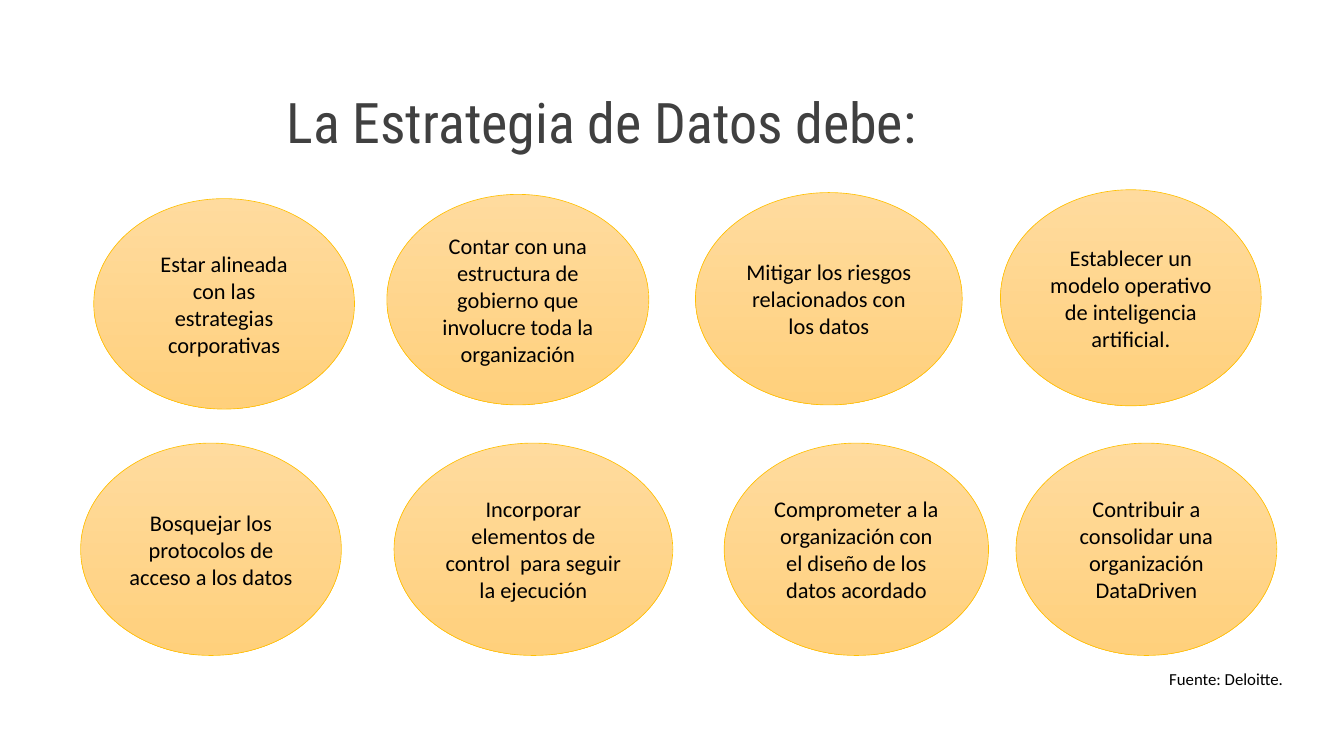
from pptx import Presentation
from pptx.dml.color import RGBColor
from pptx.enum.shapes import MSO_SHAPE
from pptx.enum.text import MSO_ANCHOR, PP_ALIGN
from pptx.util import Inches, Pt

TITLE_GREY = RGBColor(0x40, 0x40, 0x40)
BLACK = RGBColor(0, 0, 0)
AMBER = RGBColor(0xFF, 0xC0, 0x00)
PALE_ORANGE = RGBColor(0xFF, 0xDB, 0x9E)
DEEP_ORANGE = RGBColor(0xFF, 0xD0, 0x7C)

TITLE_FONT = {"name": "Roboto Condensed", "size": Pt(45.3), "bold": False}
DUTY_FONT = {"name": "Calibri", "size": Pt(18.1)}
SOURCE_FONT = {"name": "Calibri", "size": Pt(13.6)}
OVAL_FRAME = {
    "word_wrap": True, "vertical_anchor": MSO_ANCHOR.MIDDLE,
    "margin_left": Inches(0.11), "margin_right": Inches(0.11),
    "margin_top": Inches(0.06), "margin_bottom": Inches(0.06),
}

# Left, top, width and height in percent of the slide
TITLE_BOX = (9.4, 6.9, 70.7, 19.3)
DUTIES_BOX = (6, 25.1, 89, 61.6)
SOURCE_BOX = (44.7, 87.9, 51.4, 3.9)

# Left, top, width and height in percent of the duties box
DUTIES = [
    ((1.1, 1.9, 21.8, 45.2), "Estar alineada con las estrategias corporativas"),
    ((25.6, 1, 21.9, 45.2),
     "Contar con una estructura de gobierno que involucre toda la organización"),
    ((51.4, 0.6, 22.3, 45.6), "Mitigar los riesgos relacionados con los datos"),
    ((76.9, 0, 21.8, 46.4),
     "Establecer un modelo operativo de inteligencia artificial."),
    ((0, 54.4, 21.8, 45.6), "Bosquejar los protocolos de acceso a los datos"),
    ((26.2, 54.4, 23.3, 45.6),
     "Incorporar elementos de control  para seguir la ejecución"),
    ((53.8, 54.4, 22.1, 45.6),
     "Comprometer a la organización con el diseño de los datos acordado"),
    ((78.2, 54.4, 21.8, 45.6),
     "Contribuir a consolidar una organización DataDriven"),
]


def set_all(target, values):
    for name, value in values.items():
        setattr(target, name, value)


def share(box, percents):
    """Return the part of box given by percentages of its size."""
    x, y, w, h = box
    left, top, width, height = percents
    return (int(x + w * left / 100), int(y + h * top / 100),
            int(w * width / 100), int(h * height / 100))


def write(tf, text, font, color, align):
    p = tf.paragraphs[0]
    p.alignment = align
    r = p.add_run()
    r.text = text
    set_all(r.font, font)
    r.font.color.rgb = color
    return p


def add_title(s, box):
    title = s.shapes.title
    title.left, title.top, title.width, title.height = box
    tf = title.text_frame
    set_all(tf, {"word_wrap": True, "vertical_anchor": MSO_ANCHOR.MIDDLE})
    p = write(tf, "La Estrategia de Datos debe:", TITLE_FONT, TITLE_GREY,
              PP_ALIGN.CENTER)
    set_all(p, {"line_spacing": 0.9, "space_before": Pt(0)})


def add_oval(s, box, text):
    sp = s.shapes.add_shape(MSO_SHAPE.OVAL, *box)
    sp.shadow.inherit = False
    sp.fill.gradient()
    sp.fill.gradient_angle = 270
    for stop, color in zip(sp.fill.gradient_stops, (PALE_ORANGE, DEEP_ORANGE)):
        stop.color.rgb = color
    sp.line.color.rgb = AMBER
    sp.line.width = Pt(0.5)
    set_all(sp.text_frame, OVAL_FRAME)
    write(sp.text_frame, text, DUTY_FONT, BLACK, PP_ALIGN.CENTER)


def add_duties(s, box):
    for percents, text in DUTIES:
        add_oval(s, share(box, percents), text)


def add_source(s, box):
    tf = s.shapes.add_textbox(*box).text_frame
    tf.word_wrap = True
    write(tf, "Fuente: Deloitte.", SOURCE_FONT, BLACK, PP_ALIGN.RIGHT)


def main():
    prs = Presentation()
    prs.slide_width, prs.slide_height = Inches(15.11), Inches(8.5)
    s = prs.slides.add_slide(prs.slide_layouts[5])
    page = (0, 0, prs.slide_width, prs.slide_height)
    add_title(s, share(page, TITLE_BOX))
    add_duties(s, share(page, DUTIES_BOX))
    add_source(s, share(page, SOURCE_BOX))
    prs.save("out.pptx")


if __name__ == "__main__":
    main()
